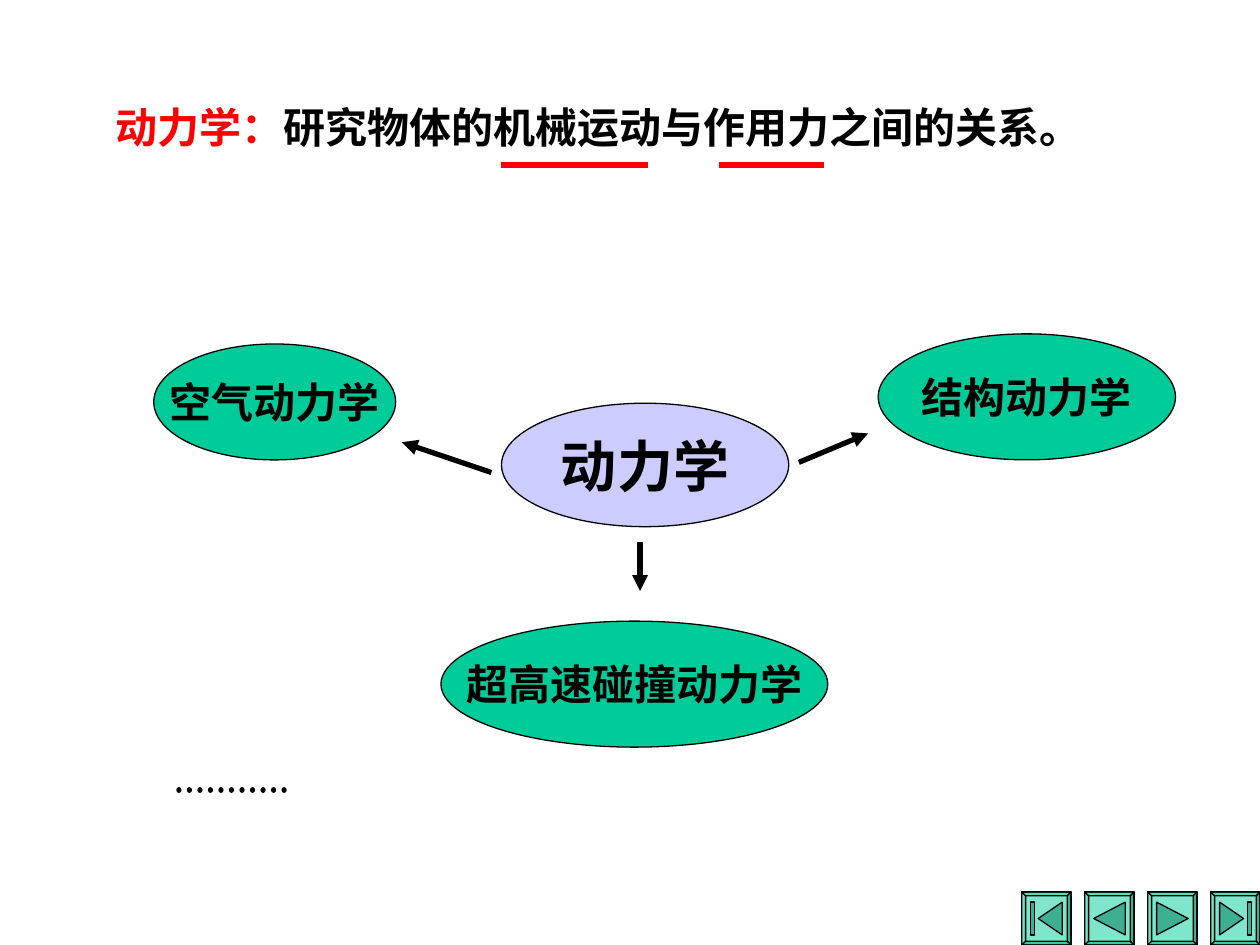
from copy import deepcopy

from lxml.etree import SubElement
from pptx import Presentation
from pptx.dml.color import RGBColor
from pptx.enum.dml import MSO_LINE
from pptx.enum.shapes import MSO_CONNECTOR, MSO_SHAPE
from pptx.enum.text import MSO_ANCHOR, MSO_AUTO_SIZE, PP_ALIGN
from pptx.oxml.ns import qn
from pptx.util import Inches, Pt

BLACK, RED, GREEN, LAVENDER = "000000", "FF0000", "00CC99", "CCCCFF"
BUTTON_TOP, BUTTON_WIDTH, BUTTON_HEIGHT, BEVEL = 7.08, 0.39, 0.42, 0.03

# Glyph corners, measured from the button's top left corner
TRIANGLE_LEFT = [(0.07, 0.21), (0.32, 0.08), (0.32, 0.34)]
TRIANGLE_RIGHT = [(0.07, 0.08), (0.32, 0.21), (0.07, 0.34)]
TO_START = [(0.13, 0.21), (0.32, 0.08), (0.32, 0.34)]
TO_END = [(0.26, 0.21), (0.07, 0.34), (0.07, 0.08)]
START_BAR = [(0.07, 0.08), (0.1, 0.08), (0.1, 0.34), (0.07, 0.34)]
END_BAR = [(0.29, 0.08), (0.29, 0.34), (0.32, 0.34), (0.32, 0.08)]


def color(hex_value):
    return RGBColor.from_string(hex_value)


def add_run(paragraph, text, *, size=24, hex_color=BLACK, bold=True):
    run = paragraph.add_run()
    run.text = text
    run.font.name = "Times New Roman"
    run.font.size = Pt(size)
    run.font.bold = bold
    run.font.color.rgb = color(hex_color)


def style_shape(shape, fill):
    shape.shadow.inherit = False
    shape.fill.solid()
    shape.fill.fore_color.rgb = color(fill)
    shape.line.color.rgb = color(BLACK)
    shape.line.width = Pt(0.75)


def add_definition(slide):
    box = slide.shapes.add_textbox(Inches(0.82), Inches(0.76), Inches(9.18), Inches(0.5))
    frame = box.text_frame
    frame.word_wrap = True
    frame.auto_size = MSO_AUTO_SIZE.SHAPE_TO_FIT_TEXT
    paragraph = frame.paragraphs[0]
    add_run(paragraph, "动力学：", hex_color=RED)
    add_run(paragraph, "研究物体的机械运动与作用力之间的关系。")


def add_topic(slide, text, left, top, width, height, *, fill=GREEN, size=24):
    ellipse = slide.shapes.add_shape(
        MSO_SHAPE.OVAL, Inches(left), Inches(top), Inches(width), Inches(height))
    style_shape(ellipse, fill)
    frame = ellipse.text_frame
    frame.word_wrap = False
    frame.vertical_anchor = MSO_ANCHOR.MIDDLE
    paragraph = frame.paragraphs[0]
    paragraph.alignment = PP_ALIGN.CENTER
    add_run(paragraph, text, size=size)


def add_line(slide, start, end, *, hex_color=BLACK, arrow=False, dotted=False):
    connector = slide.shapes.add_connector(
        MSO_CONNECTOR.STRAIGHT, *map(Inches, start + end))
    connector.line.color.rgb = color(hex_color)
    connector.line.width = Pt(3)
    properties = connector._element.spPr
    line = properties.find(qn("a:ln"))
    if dotted:
        connector.line.dash_style = MSO_LINE.ROUND_DOT
        line.set("cap", "rnd")
    if arrow:
        SubElement(line, qn("a:tailEnd"), type="triangle")
    SubElement(properties, qn("a:effectLst"))


def bevel_faces():
    """Return the four sloping sides: top, right, bottom, left."""
    outer = [(0, 0), (BUTTON_WIDTH, 0),
             (BUTTON_WIDTH, BUTTON_HEIGHT), (0, BUTTON_HEIGHT)]
    inner = [(abs(x - BEVEL), abs(y - BEVEL)) for x, y in outer]
    return [[outer[i], outer[(i + 1) % 4], inner[(i + 1) % 4], inner[i]]
            for i in range(4)]


def split_paths(shape, shades):
    """Give each contour of a freeform its own path, so that they overlap."""
    path_list = shape._element.spPr.find(".//" + qn("a:pathLst"))
    whole = path_list[0]
    contours = []
    for step in whole:
        if step.tag == qn("a:moveTo"):
            contours.append([])
        contours[-1].append(step)
    for contour, shade in zip(contours, shades):
        part = SubElement(path_list, qn("a:path"), dict(whole.attrib, fill=shade))
        part.extend(deepcopy(step) for step in contour)
    path_list.remove(whole)


def add_button(slide, left, glyphs):
    face = [(0, 0), (BUTTON_WIDTH, 0),
            (BUTTON_WIDTH, BUTTON_HEIGHT), (0, BUTTON_HEIGHT)]
    contours = [[(Inches(left + x), Inches(BUTTON_TOP + y)) for x, y in contour]
                for contour in [face, *bevel_faces(), *glyphs]]
    builder = slide.shapes.build_freeform(*contours[0][0])
    for index, contour in enumerate(contours):
        if index:
            builder.move_to(*contour[0])
        builder.add_line_segments(contour[1:], close=True)
    button = builder.convert_to_shape()
    style_shape(button, GREEN)
    fill = button._element.spPr.find(qn("a:solidFill"))
    SubElement(fill[0], qn("a:alpha"), val="50000")
    shades = ["norm", "lightenLess", "darken", "darkenLess", "lighten"]
    split_paths(button, shades + ["darken"] * len(glyphs))


def main():
    presentation = Presentation()
    presentation.slide_width = Inches(10)
    presentation.slide_height = Inches(7.5)
    slide = presentation.slides.add_slide(presentation.slide_layouts[6])

    buttons = [[TO_START, START_BAR], [TRIANGLE_LEFT], [TRIANGLE_RIGHT], [TO_END, END_BAR]]
    for index, glyphs in enumerate(buttons):
        add_button(slide, 8.11 + 0.5 * index, glyphs)

    add_definition(slide)
    for left, right in [(3.98, 5.14), (5.71, 6.54)]:
        add_line(slide, (left, 1.31), (right, 1.31), hex_color=RED)

    add_topic(slide, "动力学", 3.98, 3.2, 2.28, 0.98, fill=LAVENDER, size=32)
    add_topic(slide, "空气动力学", 1.22, 2.73, 1.92, 0.92)
    add_topic(slide, "超高速碰撞动力学", 3.5, 4.93, 3.07, 1)
    add_topic(slide, "结构动力学", 6.97, 2.65, 2.36, 1)

    for start, end in [((3.9, 3.75), (3.19, 3.51)),
                       ((6.34, 3.67), (6.89, 3.44)),
                       ((5.08, 4.3), (5.08, 4.69))]:
        add_line(slide, start, end, arrow=True)
    add_line(slide, (1.42, 6.27), (2.28, 6.27), dotted=True)

    presentation.save("out.pptx")


if __name__ == "__main__":
    main()
